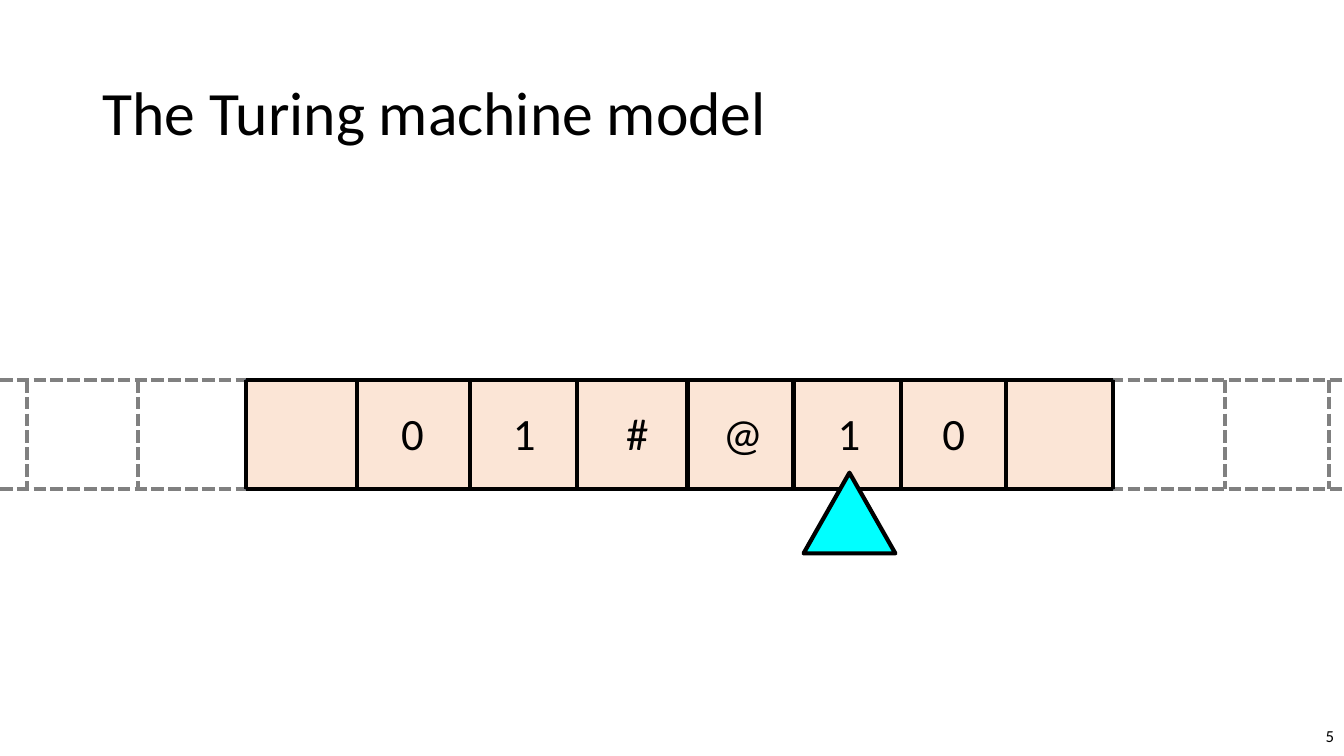
from dataclasses import dataclass

from lxml import etree
from pptx import Presentation
from pptx.dml.color import RGBColor
from pptx.enum.dml import MSO_LINE
from pptx.enum.shapes import MSO_CONNECTOR, MSO_SHAPE
from pptx.enum.text import MSO_ANCHOR, PP_ALIGN
from pptx.oxml.ns import qn
from pptx.slide import Slide
from pptx.util import Inches, Pt

STRAIGHT = MSO_CONNECTOR.STRAIGHT
RECTANGLE, TRIANGLE = MSO_SHAPE.RECTANGLE, MSO_SHAPE.ISOSCELES_TRIANGLE
DASHED = MSO_LINE.SQUARE_DOT
LEFT, CENTER, RIGHT = PP_ALIGN.LEFT, PP_ALIGN.CENTER, PP_ALIGN.RIGHT
TOP, MIDDLE = MSO_ANCHOR.TOP, MSO_ANCHOR.MIDDLE


@dataclass(frozen=True)
class Theme:
    font: str = "Calibri"
    ink: RGBColor = RGBColor(0x00, 0x00, 0x00)
    unused: RGBColor = RGBColor(0x80, 0x80, 0x80)
    tape: RGBColor = RGBColor(0xFB, 0xE5, 0xD6)
    tape_edge: RGBColor = RGBColor(0x1E, 0x32, 0x56)
    head: RGBColor = RGBColor(0x00, 0xFF, 0xFF)
    title_size: int = 44
    symbol_size: int = 32
    number_size: int = 12
    rule_width: int = 3
    edge_width: int = 1


@dataclass(frozen=True)
class Box:
    left: float
    top: float
    width: float
    height: float


@dataclass(frozen=True)
class Symbol:
    text: str
    center: float


THEME = Theme()
SLIDE_WIDTH, SLIDE_HEIGHT = 13.33, 7.5
TAPE_TOP, TAPE_BOTTOM = 3.77, 4.85
SYMBOL_TOP, SYMBOL_WIDTH, SYMBOL_HEIGHT = 3.98, 0.58, 0.64

# Borders between the cells, which are drawn with uneven widths
USED_BORDERS = (2.44, 3.54, 4.66, 5.72, 6.82, 7.87, 8.94, 9.98, 11.04)
UNUSED_BORDERS = (0.27, 1.37, 12.15, 13.18)
SYMBOLS = (
    Symbol("0", 4.09),
    Symbol("1", 5.2),
    Symbol("#", 6.32),
    Symbol("@", 7.36),
    Symbol("1", 8.42),
    Symbol("0", 9.46),
)


def add_text(slide: Slide, box: Box, text: str, size: int, align: PP_ALIGN,
             anchor: MSO_ANCHOR, spacing: float = 1.0) -> None:
    label = slide.shapes.add_textbox(Inches(box.left), Inches(box.top),
                                     Inches(box.width), Inches(box.height))
    frame = label.text_frame
    frame.word_wrap = True
    frame.vertical_anchor = anchor
    paragraph = frame.paragraphs[0]
    paragraph.text = text
    paragraph.alignment = align
    paragraph.line_spacing = spacing
    paragraph.font.name = THEME.font
    paragraph.font.size = Pt(size)
    paragraph.font.color.rgb = THEME.ink


def add_rule(slide: Slide, x1: float, y1: float, x2: float, y2: float,
             used: bool) -> None:
    rule = slide.shapes.add_connector(STRAIGHT, Inches(x1), Inches(y1),
                                      Inches(x2), Inches(y2))
    rule.line.width = Pt(THEME.rule_width)
    rule.line.color.rgb = THEME.ink if used else THEME.unused
    if not used:
        rule.line.dash_style = DASHED
    etree.SubElement(rule._element.spPr, qn("a:effectLst"))


def add_filled(slide: Slide, kind: MSO_SHAPE, box: Box, fill: RGBColor,
               edge: RGBColor, edge_width: int) -> None:
    shape = slide.shapes.add_shape(kind, Inches(box.left), Inches(box.top),
                                   Inches(box.width), Inches(box.height))
    shape.shadow.inherit = False
    shape.fill.solid()
    shape.fill.fore_color.rgb = fill
    shape.line.color.rgb = edge
    shape.line.width = Pt(edge_width)


def add_tape(slide: Slide) -> None:
    start, end = USED_BORDERS[0], USED_BORDERS[-1]

    # Unused tape, running off both sides
    for y in (TAPE_TOP, TAPE_BOTTOM):
        add_rule(slide, 0, y, SLIDE_WIDTH, y, used=False)
    for x in UNUSED_BORDERS:
        add_rule(slide, x, TAPE_TOP, x, TAPE_BOTTOM, used=False)

    # Used cells
    add_filled(slide, RECTANGLE,
               Box(start, TAPE_TOP, end - start, TAPE_BOTTOM - TAPE_TOP),
               THEME.tape, THEME.tape_edge, THEME.edge_width)
    for y in (TAPE_TOP, TAPE_BOTTOM):
        add_rule(slide, start, y, end, y, used=True)
    for x in USED_BORDERS:
        add_rule(slide, x, TAPE_TOP, x, TAPE_BOTTOM, used=True)

    # Symbols on the tape
    for symbol in SYMBOLS:
        box = Box(symbol.center - SYMBOL_WIDTH / 2, SYMBOL_TOP,
                  SYMBOL_WIDTH, SYMBOL_HEIGHT)
        add_text(slide, box, symbol.text, THEME.symbol_size, CENTER, TOP)


def main() -> None:
    deck = Presentation()
    deck.slide_width = Inches(SLIDE_WIDTH)
    deck.slide_height = Inches(SLIDE_HEIGHT)
    slide = deck.slides.add_slide(deck.slide_layouts[6])

    # Title and slide number
    add_text(slide, Box(0.92, 0.42, 11.5, 1.45), "The Turing machine model",
             THEME.title_size, LEFT, MIDDLE, spacing=0.9)
    add_text(slide, Box(10.33, 7.1, 3, 0.4), "5",
             THEME.number_size, RIGHT, MIDDLE)

    # Tape with its read/write head
    add_tape(slide)
    add_filled(slide, TRIANGLE, Box(7.97, 4.69, 0.91, 0.8),
               THEME.head, THEME.ink, THEME.rule_width)

    deck.save("out.pptx")


if __name__ == "__main__":
    main()
